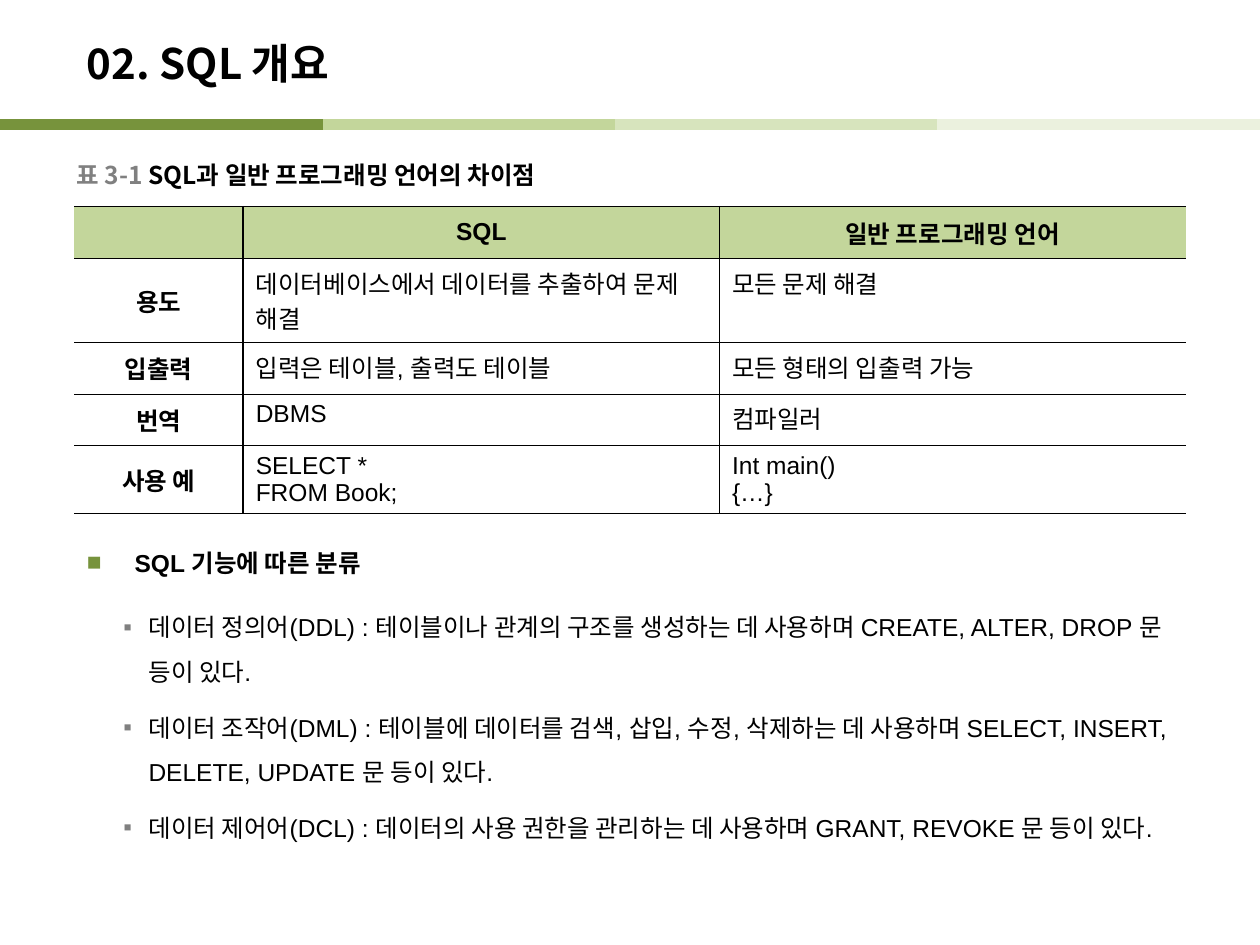
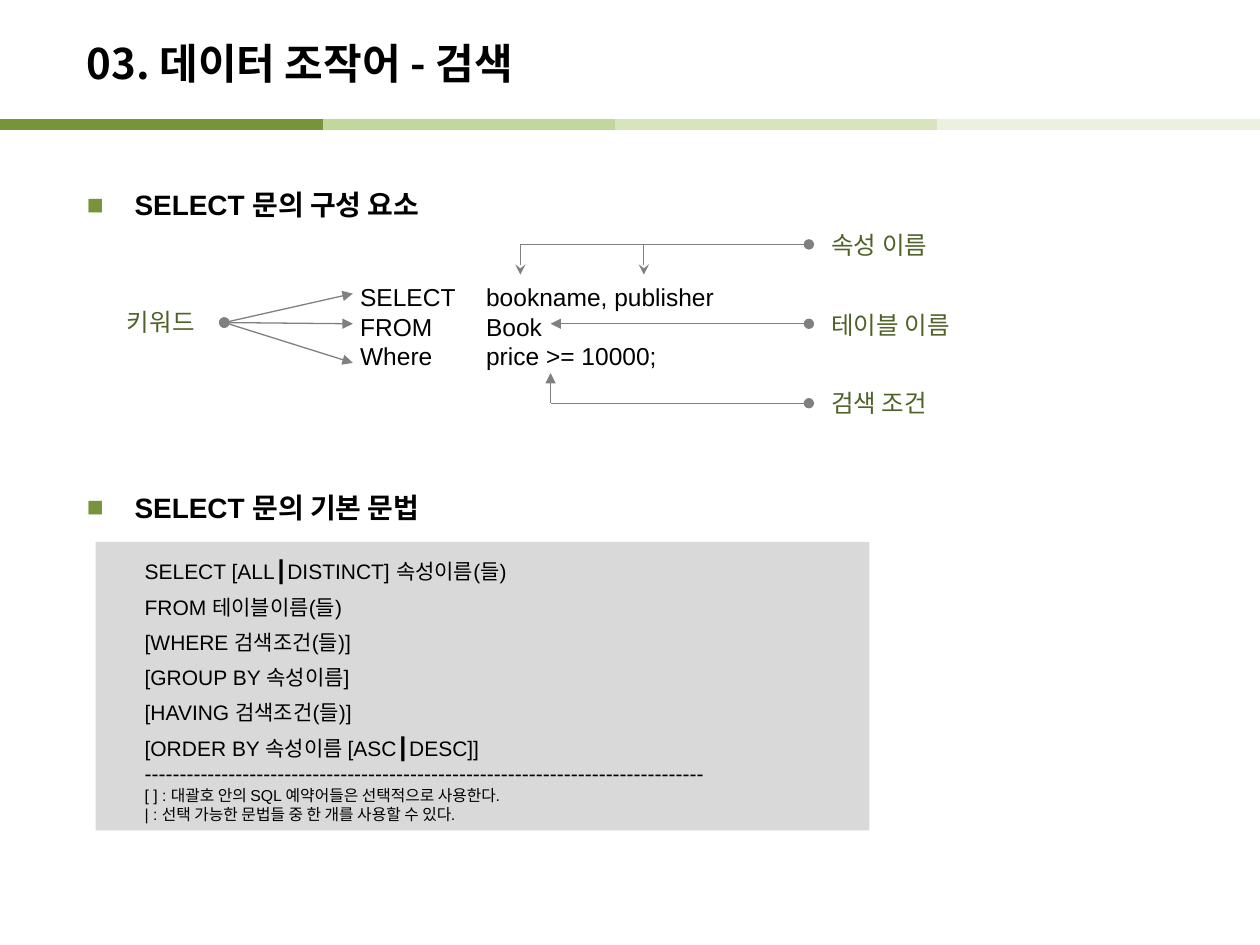
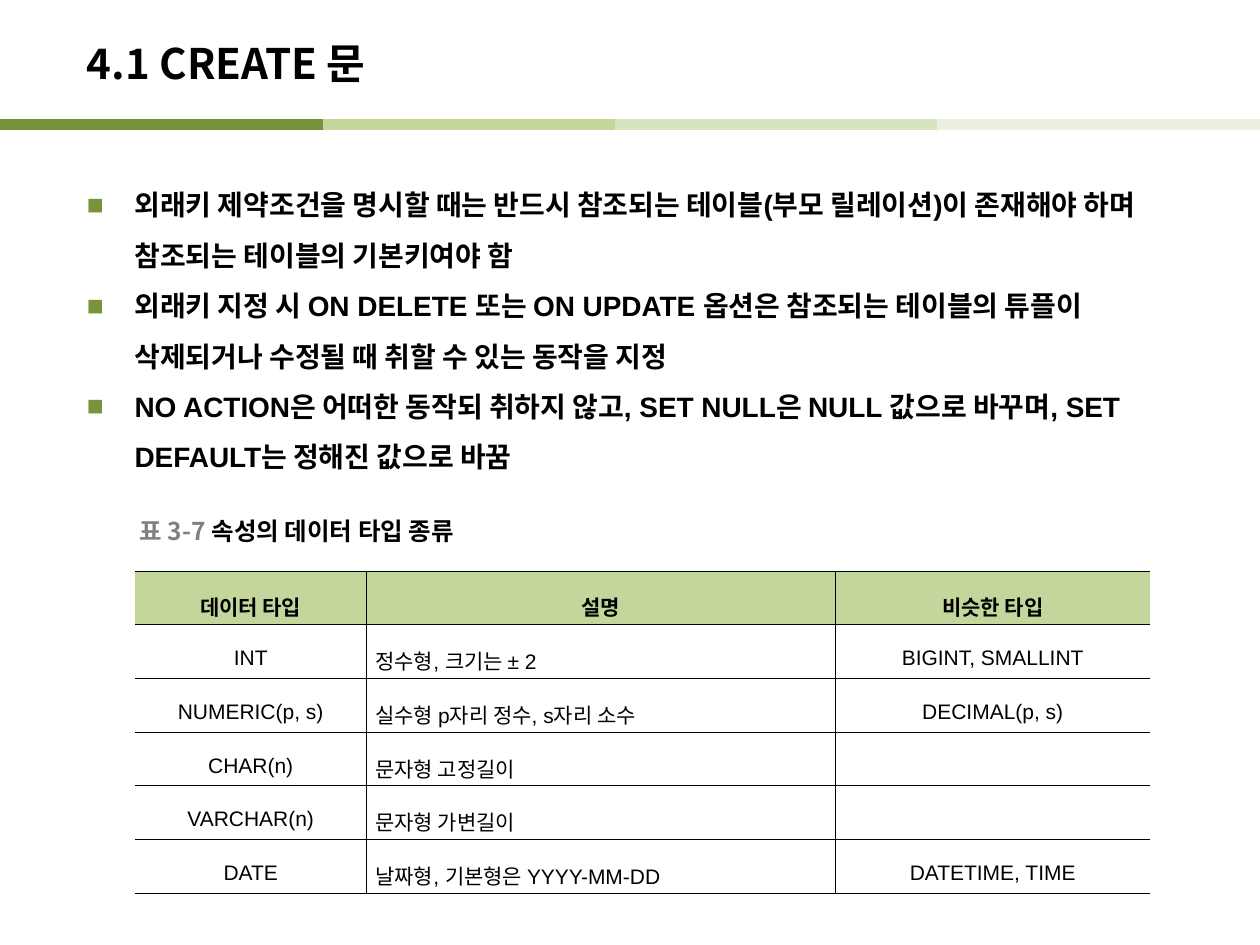
"""Build three lecture slides about SQL."""
from dataclasses import dataclass
from typing import NamedTuple, Optional

import lxml.etree
import pptx
import pptx.dml.color
import pptx.enum.shapes
import pptx.enum.text
import pptx.oxml.ns
import pptx.util

GRID_COLUMNS, GRID_ROWS = 100, 75
SLIDE_WIDTH, SLIDE_HEIGHT = pptx.util.Inches(10), pptx.util.Inches(7.5)
KOREAN, LATIN = "Noto Sans CJK KR", "Arial"
COLORS = {
    "text": "000000",
    "gray": "808080",
    "panel": "D9D9D9",
    "white": "FFFFFF",
    "label": "4F6228",
    "green": "77933C",
    "green_light": "C3D69B",
    "green_pale": "D7E4BD",
    "green_faint": "EBF1DE",
}
ALIGN = pptx.enum.text.PP_ALIGN
ANCHOR = pptx.enum.text.MSO_ANCHOR
AUTO_SIZE = pptx.enum.text.MSO_AUTO_SIZE


class Box(NamedTuple):
    """A rectangle in grid columns and rows."""
    left: float
    top: float
    width: float
    height: float


class Style(NamedTuple):
    """The look of a run."""
    size: float
    font: str = LATIN
    color: str = "text"
    bold: bool = False


class Band(NamedTuple):
    """A coloured piece of the line under the title."""
    start: float
    end: float
    color: str


class Arrow(NamedTuple):
    """A straight line with optional end marks."""
    start: tuple[float, float]
    end: tuple[float, float]
    head: Optional[str] = None
    tail: Optional[str] = None


class Label(NamedTuple):
    """A green name in the diagram."""
    text: str
    box: Box


@dataclass(frozen=True)
class Item:
    """A paragraph with its indents and spacing."""
    text: str
    style: Style
    spacing: float = 1.0
    margin: float = 0
    indent: float = 0
    before: float = 0
    after: float = 0
    bullet: str = ""
    bullet_color: str = "green"
    tab: float = 0


@dataclass(frozen=True)
class TableSpec:
    """A table with its grid, alignment and border widths."""
    box: Box
    widths: tuple[float, ...]
    row_height: float
    rows: tuple[tuple[str, ...], ...]
    aligns: tuple[ALIGN, ...]
    size: float
    outer: float
    inner: float
    spacing: float = 1.0
    bold_names: bool = False
    body_anchor: ANCHOR = ANCHOR.MIDDLE
    margins: tuple[float, float] = (1, 0.5)


TITLE_BOX = Box(5.9, 2, 82.7, 6)
BODY_BOX = Box(5.9, 13.1, 88.2, 59.1)
BAND_ROW = 9.9
BANDS = (
    Band(23.2, 48.8, "green_light"),
    Band(48.8, 74.4, "green_pale"),
    Band(74.4, 100, "green_faint"),
    Band(0, 25.6, "green"),
)
TITLE = Style(24, KOREAN, bold=True)

LANGUAGE_TABLE = TableSpec(
    box=Box(5.9, 16.4, 88.2, 23.5),
    widths=(13.4, 37.8, 37),
    row_height=4.1,
    rows=(
        ("", "SQL", "일반 프로그래밍 언어"),
        ("용도", "데이터베이스에서 데이터를 추출하여 문제 해결", "모든 문제 해결"),
        ("입출력", "입력은 테이블, 출력도 테이블", "모든 형태의 입출력 가능"),
        ("번역", "DBMS", "컴파일러"),
        ("사용 예", "SELECT *\nFROM Book;", "Int main()\n{…}"),
    ),
    aligns=(ALIGN.CENTER, ALIGN.LEFT, ALIGN.LEFT),
    size=14,
    outer=1,
    inner=0.5,
    bold_names=True,
    body_anchor=ANCHOR.TOP,
)
TYPE_TABLE = TableSpec(
    box=Box(10.7, 45.3, 80.6, 21.5),
    widths=(18.4, 37.2, 25),
    row_height=3.5,
    rows=(
        ("데이터 타입", "설명", "비슷한 타입"),
        ("INT", "정수형, 크기는 ± 2", "BIGINT, SMALLINT"),
        ("NUMERIC(p, s)", "실수형 p자리 정수, s자리 소수", "DECIMAL(p, s)"),
        ("CHAR(n)", "문자형 고정길이", ""),
        ("VARCHAR(n)", "문자형 가변길이", ""),
        ("DATE", "날짜형, 기본형은 YYYY-MM-DD", "DATETIME, TIME"),
    ),
    aligns=(ALIGN.CENTER, ALIGN.JUSTIFY, ALIGN.CENTER),
    size=12,
    outer=0.28,
    inner=0.28,
    spacing=1.6,
    margins=(0.7, 0.2),
)
SQL_CLASSES = (
    "데이터 정의어(DDL) : 테이블이나 관계의 구조를 생성하는 데 사용하며 CREATE, ALTER, DROP 문 등이 있다.",
    "데이터 조작어(DML) : 테이블에 데이터를 검색, 삽입, 수정, 삭제하는 데 사용하며 SELECT, INSERT, DELETE, UPDATE 문 등이 있다.",
    "데이터 제어어(DCL) : 데이터의 사용 권한을 관리하는 데 사용하며 GRANT, REVOKE 문 등이 있다.",
)
FOREIGN_KEY_RULES = (
    "외래키 제약조건을 명시할 때는 반드시 참조되는 테이블(부모 릴레이션)이 존재해야 하며 참조되는 테이블의 기본키여야 함",
    "외래키 지정 시 ON DELETE 또는 ON UPDATE 옵션은 참조되는 테이블의 튜플이 삭제되거나 수정될 때 취할 수 있는 동작을 지정",
    "NO ACTION은 어떠한 동작되 취하지 않고, SET NULL은 NULL 값으로 바꾸며, SET DEFAULT는 정해진 값으로 바꿈",
)
SYNTAX_LINES = (
    "SELECT [ALL┃DISTINCT] 속성이름(들)",
    "FROM 테이블이름(들)",
    "[WHERE 검색조건(들)]",
    "[GROUP BY 속성이름]",
    "[HAVING 검색조건(들)]",
    "[ORDER BY 속성이름 [ASC┃DESC]]",
)
SYNTAX_NOTES = (
    "[ ] : 대괄호 안의 SQL 예약어들은 선택적으로 사용한다.",
    "| : 선택 가능한 문법들 중 한 개를 사용할 수 있다.",
)
QUERY_LINES = (
    ("SELECT\tbookname, publisher", 9.2),
    ("FROM\tBook", 7.9),
    ("Where\tprice >= 10000;", 7.9),
)
KEYWORD = Label("키워드", Box(9.1, 23.9, 8.7, 3.4))
PART_LABELS = (
    Label("속성 이름", Box(65, 17.8, 11.8, 3.4)),
    Label("테이블 이름", Box(65, 24.1, 13.4, 3.4)),
    Label("검색 조건", Box(65, 30.3, 13.4, 3.4)),
)
KEYWORD_ARROWS = tuple(
    Arrow((17.8, 25.6), (28, row), "oval", "triangle") for row in (25.7, 23.3, 28.8)
)
PART_ARROWS = (
    Arrow((43.7, 25.7), (64.2, 25.7), "triangle", "oval"),
    Arrow((41.3, 21.8), (41.3, 19.4), "stealth"),
    Arrow((41.3, 19.4), (64.2, 19.4), tail="oval"),
    Arrow((51.1, 21.8), (51.1, 19.4), "stealth"),
    Arrow((43.7, 32), (43.7, 29.6), tail="triangle"),
    Arrow((43.7, 32), (64.2, 32), tail="oval"),
)


def across(columns: float) -> int:
    """Turn grid columns into a length."""
    return round(SLIDE_WIDTH * columns / GRID_COLUMNS)


def down(rows: float) -> int:
    """Turn grid rows into a length."""
    return round(SLIDE_HEIGHT * rows / GRID_ROWS)


def place(box: Box) -> tuple[int, int, int, int]:
    """Turn a grid box into slide lengths."""
    return across(box.left), down(box.top), across(box.width), down(box.height)


def rgb(name: str) -> pptx.dml.color.RGBColor:
    """Look up a named colour."""
    return pptx.dml.color.RGBColor.from_string(COLORS[name])


def add_element(parent, tag: str, **attributes: str):
    """Append a drawing element to its parent."""
    return lxml.etree.SubElement(parent, pptx.oxml.ns.qn(tag), attributes)


def add_run(paragraph, text: str, style: Style) -> None:
    """Add a styled run to a paragraph."""
    run = paragraph.add_run()
    run.text = text
    run.font.size = pptx.util.Pt(style.size)
    run.font.bold = style.bold
    run.font.color.rgb = rgb(style.color)
    run.font.name = style.font
    add_element(run._r.get_or_add_rPr(), "a:ea", typeface=KOREAN)


def fill_paragraph(paragraph, item: Item) -> None:
    """Write an item with its spacing, bullet and tab stop."""
    paragraph.alignment = ALIGN.LEFT
    paragraph.line_spacing = item.spacing
    paragraph.space_before = pptx.util.Pt(item.before)
    paragraph.space_after = pptx.util.Pt(item.after)
    properties = paragraph._p.get_or_add_pPr()
    properties.set("marL", str(across(item.margin)))
    properties.set("indent", str(across(item.indent)))
    if item.bullet:
        color = add_element(properties, "a:buClr")
        add_element(color, "a:srgbClr", val=COLORS[item.bullet_color])
        add_element(properties, "a:buFont", typeface=LATIN)
        add_element(properties, "a:buChar", char=item.bullet)
    if item.tab:
        stops = add_element(properties, "a:tabLst")
        add_element(stops, "a:tab", pos=str(across(item.tab)), algn="l")
    add_run(paragraph, item.text, item.style)


def fill_frame(frame, items: list[Item]) -> None:
    """Write one paragraph for each item."""
    for index, item in enumerate(items):
        paragraph = frame.add_paragraph() if index else frame.paragraphs[0]
        fill_paragraph(paragraph, item)


def add_text(slide, box: Box, items: list[Item], anchor: ANCHOR = ANCHOR.TOP,
             auto_size: AUTO_SIZE = AUTO_SIZE.NONE):
    """Add a wrapping text box."""
    shape = slide.shapes.add_textbox(*place(box))
    frame = shape.text_frame
    frame.word_wrap = True
    frame.auto_size = auto_size
    frame.vertical_anchor = anchor
    fill_frame(frame, items)
    return shape


def add_line(slide, arrow: Arrow, color: str, width: float):
    """Add a straight connector with its end marks."""
    (left, top), (right, bottom) = arrow.start, arrow.end
    connector = slide.shapes.add_connector(
        pptx.enum.shapes.MSO_CONNECTOR.STRAIGHT,
        across(left), down(top), across(right), down(bottom))
    connector.line.color.rgb = rgb(color)
    connector.line.width = pptx.util.Pt(width)
    line = connector.line._get_or_add_ln()
    for tag, mark in (("a:headEnd", arrow.head), ("a:tailEnd", arrow.tail)):
        if mark:
            add_element(line, tag, type=mark)
    add_element(connector._element.spPr, "a:effectLst")
    return connector


def add_titled_slide(presentation, title: str):
    """Add a blank slide with the bands and the title."""
    slide = presentation.slides.add_slide(presentation.slide_layouts[6])
    for band in BANDS:
        add_line(slide, Arrow((band.start, BAND_ROW), (band.end, BAND_ROW)), band.color, 6)
    add_text(slide, TITLE_BOX, [Item(title, TITLE)], ANCHOR.MIDDLE)
    return slide


def heading(text: str, size: float = 16, before: float = 0, after: float = 0) -> Item:
    """Describe a first-level bullet."""
    return Item(text, Style(size, bold=True), 1.5, 3.8, -3.8, before, after, "■")


def add_caption(slide, box: Box, number: str, text: str) -> None:
    """Add a table caption with a grey number."""
    shape = add_text(slide, box, [Item(number, Style(14, KOREAN, "gray", True))], ANCHOR.MIDDLE)
    shape.text_frame.word_wrap = False
    add_run(shape.text_frame.paragraphs[0], text, Style(14, KOREAN, bold=True))


def add_label(slide, label: Label):
    """Add a diagram label."""
    item = Item(label.text, Style(14, KOREAN, "label"))
    return add_text(slide, label.box, [item], auto_size=AUTO_SIZE.SHAPE_TO_FIT_TEXT)


def set_borders(cell, widths: dict[str, float]) -> None:
    """Draw the cell's sides, leaving out those of zero width."""
    properties = cell._tc.get_or_add_tcPr()
    for side in ("L", "R", "T", "B"):
        width = widths[side]
        line = add_element(properties, f"a:ln{side}", w=str(pptx.util.Pt(width)))
        if width:
            fill = add_element(line, "a:solidFill")
            add_element(fill, "a:srgbClr", val=COLORS["text"])
        else:
            add_element(line, "a:noFill")


def fill_cell(cell, spec: TableSpec, row: int, column: int) -> None:
    """Format and write one cell."""
    last_row, last_column = len(spec.rows) - 1, len(spec.widths) - 1
    is_header, is_name = row == 0, column == 0
    set_borders(cell, {
        "L": 0 if is_name else spec.outer,
        "R": 0 if column == last_column else spec.outer,
        "T": spec.outer if is_header else spec.inner,
        "B": spec.outer if row == last_row else spec.inner,
    })
    cell.fill.solid()
    cell.fill.fore_color.rgb = rgb("green_light" if is_header else "white")
    cell.margin_left = cell.margin_right = across(spec.margins[0])
    cell.margin_top = cell.margin_bottom = down(spec.margins[1])
    cell.vertical_anchor = ANCHOR.MIDDLE if is_header or is_name else spec.body_anchor
    style = Style(spec.size, bold=is_header or (is_name and spec.bold_names))
    text = spec.rows[row][column]
    if text:
        fill_frame(cell.text_frame, [Item(line, style, spec.spacing) for line in text.split("\n")])
    for paragraph in cell.text_frame.paragraphs:
        paragraph.alignment = ALIGN.CENTER if is_header else spec.aligns[column]


def add_data_table(slide, spec: TableSpec) -> None:
    """Add a table with a green header row."""
    table = slide.shapes.add_table(len(spec.rows), len(spec.widths), *place(spec.box)).table
    table.first_row = table.horz_banding = False
    for column, width in zip(table.columns, spec.widths):
        column.width = across(width)
    for row in table.rows:
        row.height = down(spec.row_height)
    for row in range(len(spec.rows)):
        for column in range(len(spec.widths)):
            fill_cell(table.cell(row, column), spec, row, column)


def build_overview(presentation) -> None:
    """Build the comparison of SQL with other languages."""
    slide = add_titled_slide(presentation, "02. SQL 개요")
    classes = [Item(text, Style(14), 1.5, 4.9, -2, 2.8, 4, "▪", "gray") for text in SQL_CLASSES]
    body = add_text(slide, BODY_BOX, [heading("SQL 기능에 따른 분류", 14, after=9), *classes])
    body.text_frame.margin_top = down(29.2)
    add_data_table(slide, LANGUAGE_TABLE)
    add_caption(slide, Box(5.1, 12.3, 20.5, 3.1), "표 3-1 ", "SQL과 일반 프로그래밍 언어의 차이점")


def build_select(presentation) -> None:
    """Build the diagram and the syntax of SELECT."""
    slide = add_titled_slide(presentation, "03. 데이터 조작어 - 검색")
    add_text(slide, BODY_BOX, [heading("SELECT 문의 구성 요소"),
                               heading("SELECT 문의 기본 문법", before=144)])
    panel = slide.shapes.add_shape(pptx.enum.shapes.MSO_SHAPE.RECTANGLE,
                                   *place(Box(7.6, 43, 61.4, 22.9)))
    panel.shadow.inherit = False
    panel.fill.solid()
    panel.fill.fore_color.rgb = rgb("panel")
    panel.line.fill.background()
    panel.text_frame.word_wrap = False
    panel.text_frame.vertical_anchor = ANCHOR.MIDDLE
    fill_frame(panel.text_frame, [
        *(Item(text, Style(12), 1.4, 2.9) for text in SYNTAX_LINES),
        Item("-" * 80, Style(12), margin=2.9),
        *(Item(text, Style(9), margin=2.9) for text in SYNTAX_NOTES),
    ])
    query = [Item(text, Style(14), tab=tab) for text, tab in QUERY_LINES]
    add_text(slide, Box(27.6, 21.9, 50, 8.1), query, auto_size=AUTO_SIZE.SHAPE_TO_FIT_TEXT)
    keyword = add_label(slide, KEYWORD)
    for arrow in KEYWORD_ARROWS:
        add_line(slide, arrow, "gray", 0.75).begin_connect(keyword, 3)
    for arrow in PART_ARROWS:
        add_line(slide, arrow, "gray", 0.75)
    for label in PART_LABELS:
        add_label(slide, label)


def build_create(presentation) -> None:
    """Build the foreign key rules and the data types."""
    slide = add_titled_slide(presentation, "4.1 CREATE 문")
    add_text(slide, BODY_BOX, [heading(text) for text in FOREIGN_KEY_RULES])
    add_data_table(slide, TYPE_TABLE)
    add_caption(slide, Box(10.1, 40.6, 20.9, 3.1), "표 3-7 ", "속성의 데이터 타입 종류")


def main() -> None:
    """Build and save the presentation."""
    presentation = pptx.Presentation()
    presentation.slide_width, presentation.slide_height = SLIDE_WIDTH, SLIDE_HEIGHT
    for build in (build_overview, build_select, build_create):
        build(presentation)
    presentation.save("out.pptx")


if __name__ == "__main__":
    main()
